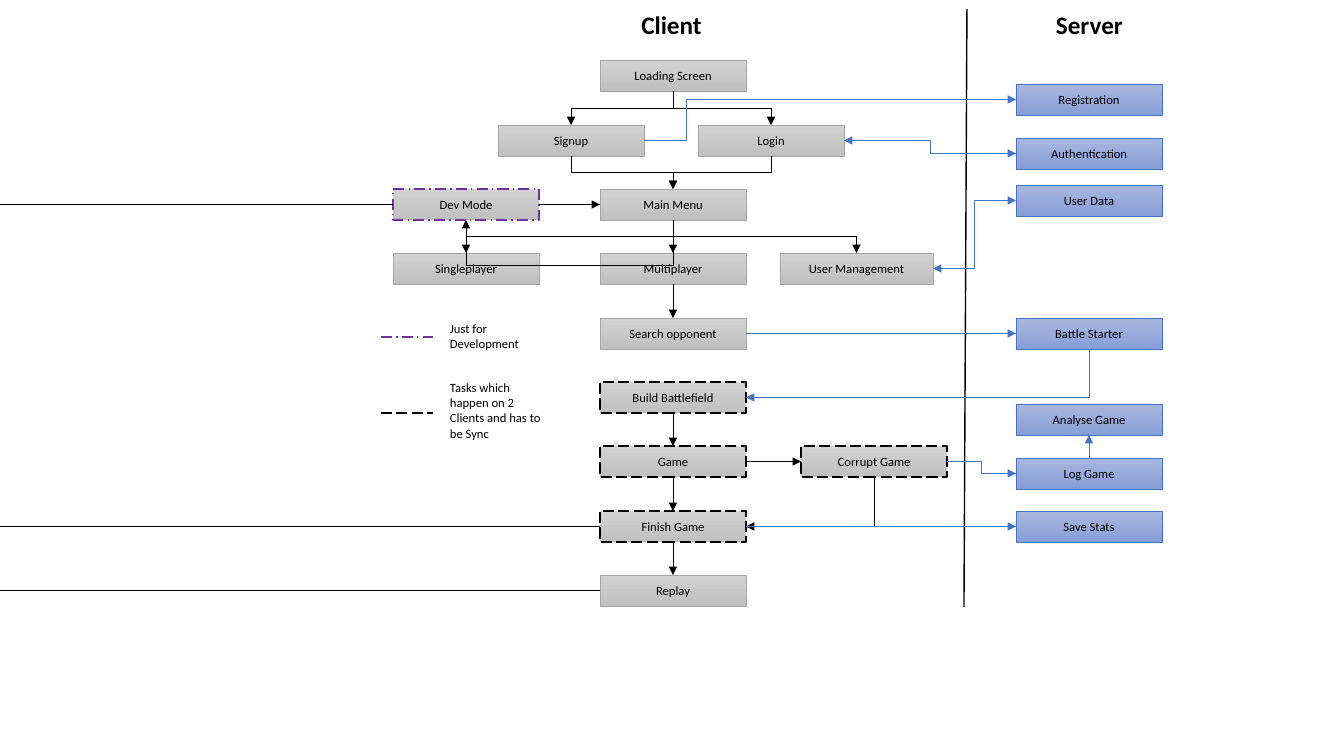
from lxml import etree
from pptx import Presentation
from pptx.dml import color
from pptx.enum import dml, shapes, text
from pptx.oxml import ns
from pptx.util import Pt

SCALE = 12192000 / 1344
BLACK, BLUE, PURPLE = "000000", "4472C4", "7030A0"
LONG, DOT = dml.MSO_LINE.LONG_DASH, dml.MSO_LINE.LONG_DASH_DOT
WIDE, TALL, TOP, PITCH = 146, 31, 60.5, 64.3
GREY = ("D2D2D2", "C0C0C0")
SKY = ("A8B7DF", "889ED7")
STYLES = {
    "plain": (GREY, "A5A5A5", 0.5, None),
    "sync": (GREY, BLACK, 1, LONG),
    "dev": (GREY, PURPLE, 1, DOT),
    "server": (SKY, BLUE, 0.5, None),
}
CLIENT = [
    ("Loading Screen", 600, 0, "plain"),
    ("Signup", 498, 1, "plain"),
    ("Login", 698, 1, "plain"),
    ("Main Menu", 600, 2, "plain"),
    ("Dev Mode", 393, 2, "dev"),
    ("Singleplayer", 393, 3, "plain"),
    ("Multiplayer", 600, 3, "plain"),
    ("User Management", 780, 3, "plain"),
    ("Search opponent", 600, 4, "plain"),
    ("Build Battlefield", 600, 5, "sync"),
    ("Game", 600, 6, "sync"),
    ("Corrupt Game", 801, 6, "sync"),
    ("Finish Game", 600, 7, "sync"),
    ("Replay", 600, 8, "plain"),
]
SERVER = [
    ("Registration", 84), ("Authentication", 138), ("User Data", 185),
    ("Battle Starter", 318), ("Analyse Game", 404), ("Log Game", 458),
    ("Save Stats", 511),
]
LINKS = [
    ("Loading Screen", "b", "Signup", "t", BLACK),
    ("Loading Screen", "b", "Login", "t", BLACK),
    ("Signup", "b", "Main Menu", "t", BLACK),
    ("Login", "b", "Main Menu", "t", BLACK),
    ("Dev Mode", "r", "Main Menu", "l", BLACK),
    ("Main Menu", "b", "Singleplayer", "t", BLACK),
    ("Main Menu", "b", "Multiplayer", "t", BLACK),
    ("Main Menu", "b", "User Management", "t", BLACK),
    ("Multiplayer", "b", "Search opponent", "t", BLACK),
    ("Build Battlefield", "b", "Game", "t", BLACK),
    ("Game", "b", "Finish Game", "t", BLACK),
    ("Game", "r", "Corrupt Game", "l", BLACK),
    ("Corrupt Game", "b", "Finish Game", "r", BLACK),
    ("Finish Game", "b", "Replay", "t", BLACK),
    ("Signup", "r", "Registration", "l", BLUE),
    ("Login", "r", "Authentication", "l", BLUE),
    ("User Management", "r", "User Data", "l", BLUE),
    ("Search opponent", "r", "Battle Starter", "l", BLUE),
    ("Battle Starter", "b", "Build Battlefield", "r", BLUE),
    ("Corrupt Game", "r", "Log Game", "l", BLUE),
    ("Log Game", "t", "Analyse Game", "b", BLUE),
    ("Finish Game", "r", "Save Stats", "l", BLUE),
]
BENDS = {"Registration": 11400}
TWOWAY = {"Authentication", "User Data"}
RETURNS = ["Dev Mode", "Finish Game", "Replay"]
LEGEND = [
    ("Just for Development", 337, 316, 40, PURPLE, DOT),
    ("Tasks which happen on 2 Clients and has to be Sync", 413, 375, 72, BLACK, LONG),
]
SIDES = {"t": (0.5, 0), "b": (0.5, 1), "l": (0, 0.5), "r": (1, 0.5)}


def px(*nums):
    return [round(n * SCALE) for n in nums]


def rgb(code):
    return color.RGBColor.from_string(code)


def write(shape, words, size, bold=False, align=text.PP_ALIGN.CENTER):
    frame = shape.text_frame
    frame.word_wrap = True
    frame.auto_size = text.MSO_AUTO_SIZE.NONE
    frame.text = words
    para = frame.paragraphs[0]
    para.alignment = align
    font = para.font
    font.name, font.size, font.bold = "Calibri", Pt(size), bold
    font.color.rgb = rgb(BLACK)
    return frame


def stroke(line, code, width, dash=None):
    line.color.rgb = rgb(code)
    line.width = Pt(width)
    if dash:
        line.dash_style = dash


def box(name, x, y, w, style):
    stops, edge, width, dash = STYLES[style]
    shape = slide.shapes.add_shape(shapes.MSO_SHAPE.RECTANGLE, *px(x, y, w, TALL))
    shape.shadow.inherit = False
    shape.fill.gradient()
    shape.fill.gradient_angle = 270
    for stop, code in zip(shape.fill.gradient_stops, stops):
        stop.color.rgb = rgb(code)
    stroke(shape.line, edge, width, dash)
    write(shape, name, 9).vertical_anchor = text.MSO_ANCHOR.MIDDLE
    spots[name] = (x, y, w, TALL)


def wire(kind, start, end, code, width=0.5, dash=None, ends=()):
    link = slide.shapes.add_connector(kind, *px(*start, *end))
    stroke(link.line, code, width, dash)
    line = link.line._get_or_add_ln()
    for tag in ends:
        etree.SubElement(line, ns.qn("a:" + tag), type="triangle")
    etree.SubElement(link._element.spPr, ns.qn("a:effectLst"))
    return link


def straight(start, end, code, **look):
    return wire(shapes.MSO_CONNECTOR.STRAIGHT, start, end, code, **look)


def elbow(start, end, code, down, corner=False, bend=50000, ends=()):
    (x, y), (p, q) = start, end
    turn = 0
    if down:
        sign = 1 if q > y else -1
        turn = 90 if sign > 0 else 270
        mx, my = (x + p) / 2, (y + q) / 2
        dx, dy = sign * (q - y) / 2, sign * (x - p) / 2
        start, end = (mx - dx, my - dy), (mx + dx, my + dy)
    link = wire(shapes.MSO_CONNECTOR.ELBOW, start, end, code, ends=ends)
    props = link._element.spPr
    if turn:
        props.find(ns.qn("a:xfrm")).set("rot", str(turn * 60000))
    geom = props.find(ns.qn("a:prstGeom"))
    if corner:
        geom.set("prst", "bentConnector2")
    elif bend != 50000:
        guides = geom.find(ns.qn("a:avLst"))
        etree.SubElement(guides, ns.qn("a:gd"), name="adj1", fmla=f"val {bend}")


def port(name, side):
    x, y, w, h = spots[name]
    fx, fy = SIDES[side]
    return x + w * fx, y + h * fy


deck = Presentation()
deck.slide_width, deck.slide_height = px(1344, 756)
slide = deck.slides.add_slide(deck.slide_layouts[5])
spots = {}

title = slide.shapes.title
title.left, title.top, title.width, title.height = px(560, 4, 223, 40)
other = slide.shapes.add_textbox(*px(978, 4, 223, 40))
for head, words in ((title, "Client"), (other, "Server")):
    write(head, words, 18, True).vertical_anchor = text.MSO_ANCHOR.TOP
straight((967, 9), (964, 607), BLACK, width=1)

for name, x, row, style in CLIENT:
    box(name, x, round(TOP + PITCH * row), 153 if name == "User Management" else WIDE, style)
for name, y in SERVER:
    box(name, 1016, y, WIDE, "server")

for source, out, target, into, code in LINKS:
    start, end = port(source, out), port(target, into)
    ends = ("headEnd", "tailEnd") if target in TWOWAY else ("tailEnd",)
    if min(abs(start[0] - end[0]), abs(start[1] - end[1])) < 2:
        straight(start, end, code, ends=ends)
    else:
        elbow(start, end, code, out in "tb", out == "b" and into == "r",
              BENDS.get(target, 50000), ends)

for name in RETURNS:
    edge = port(name, "l")
    straight((0, edge[1]), edge, BLACK)
menu, dev = port("Main Menu", "b"), port("Dev Mode", "b")
dip = (dev[0], 265)
elbow(menu, dip, BLACK, True, True)
straight(dip, dev, BLACK, ends=("tailEnd",))

for words, mid, top, tall, code, dash in LEGEND:
    straight((381, mid), (433, mid), code, width=1, dash=dash)
    note = slide.shapes.add_textbox(*px(440, top, 111, tall))
    write(note, words, 9, align=text.PP_ALIGN.LEFT)

deck.save("out.pptx")
